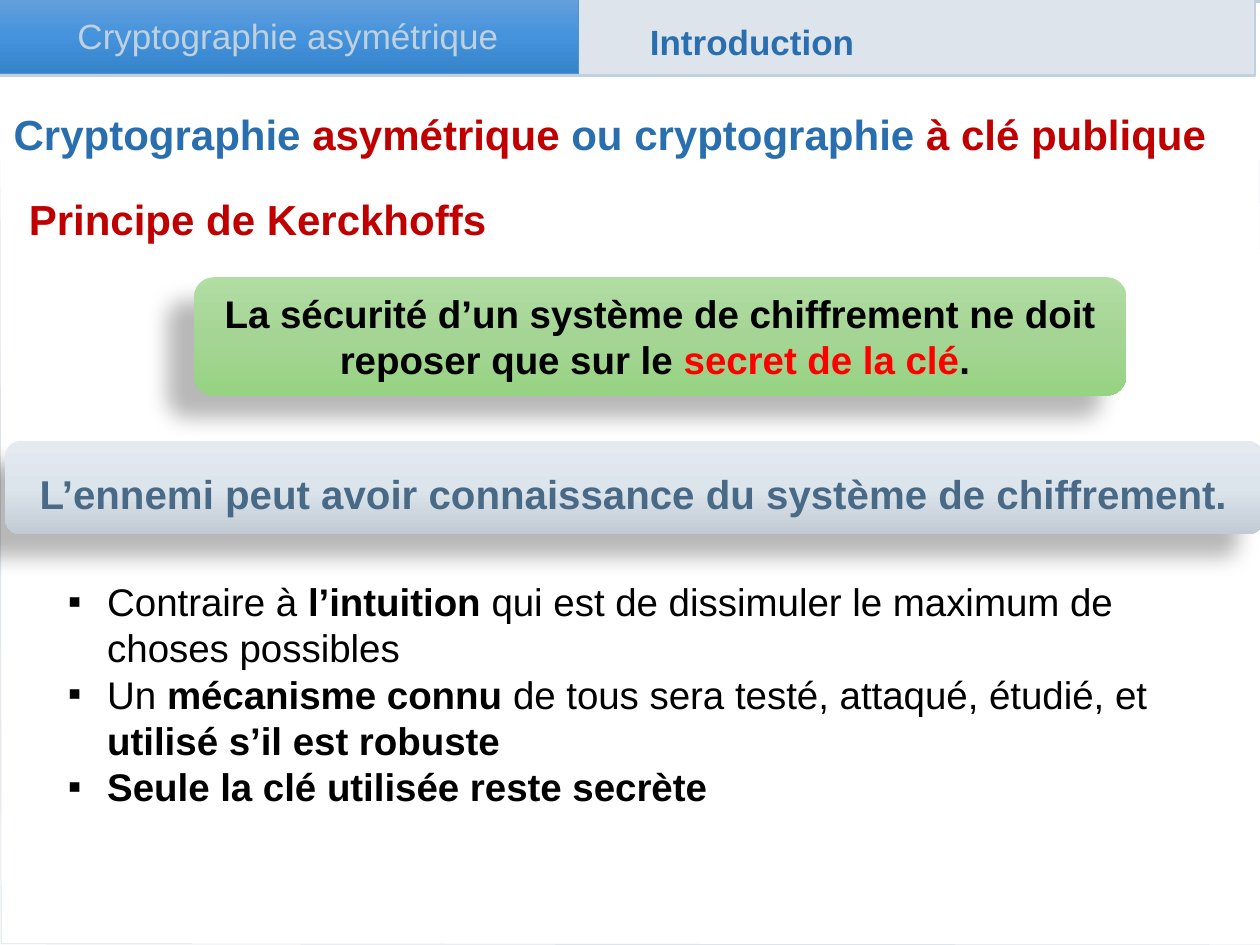
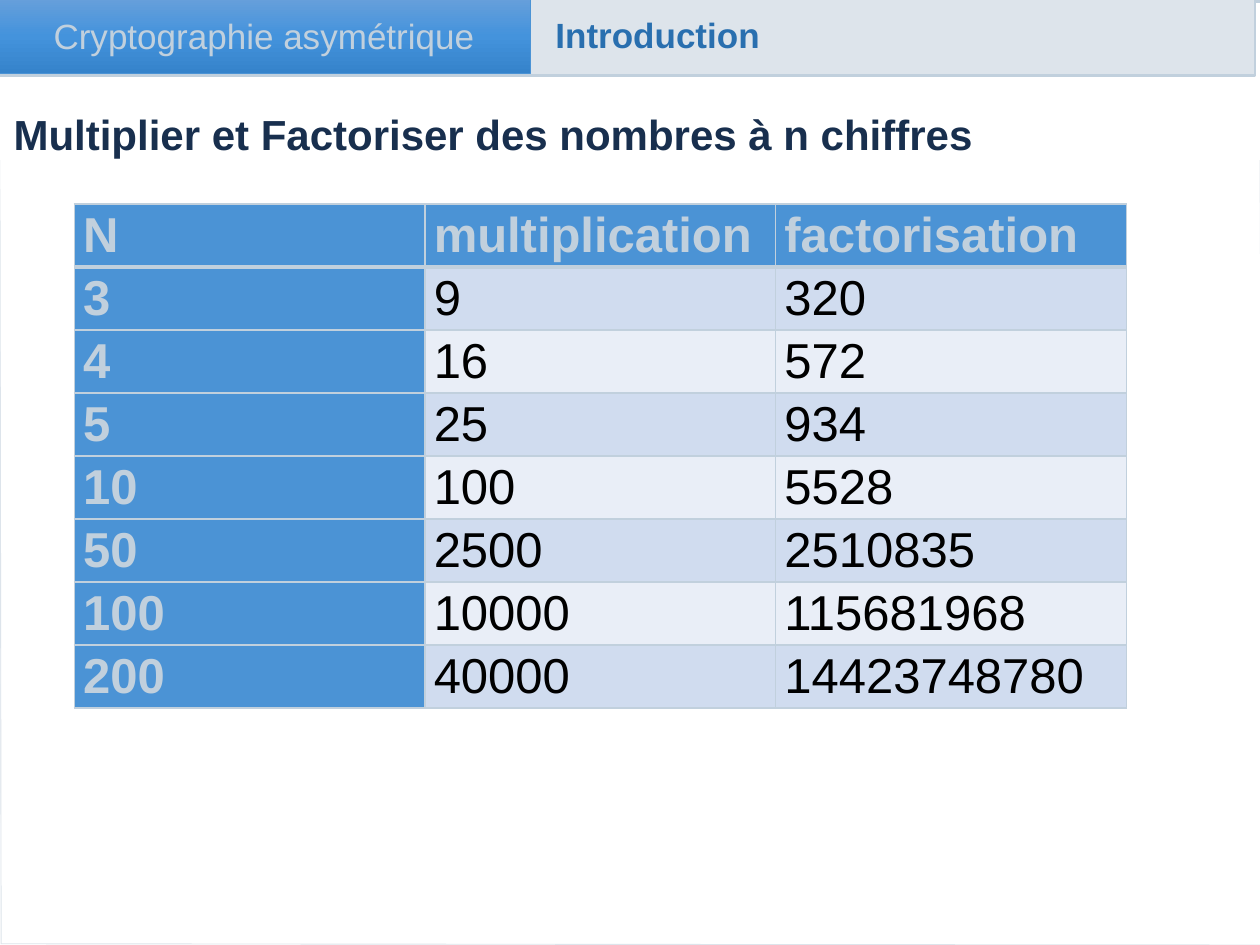
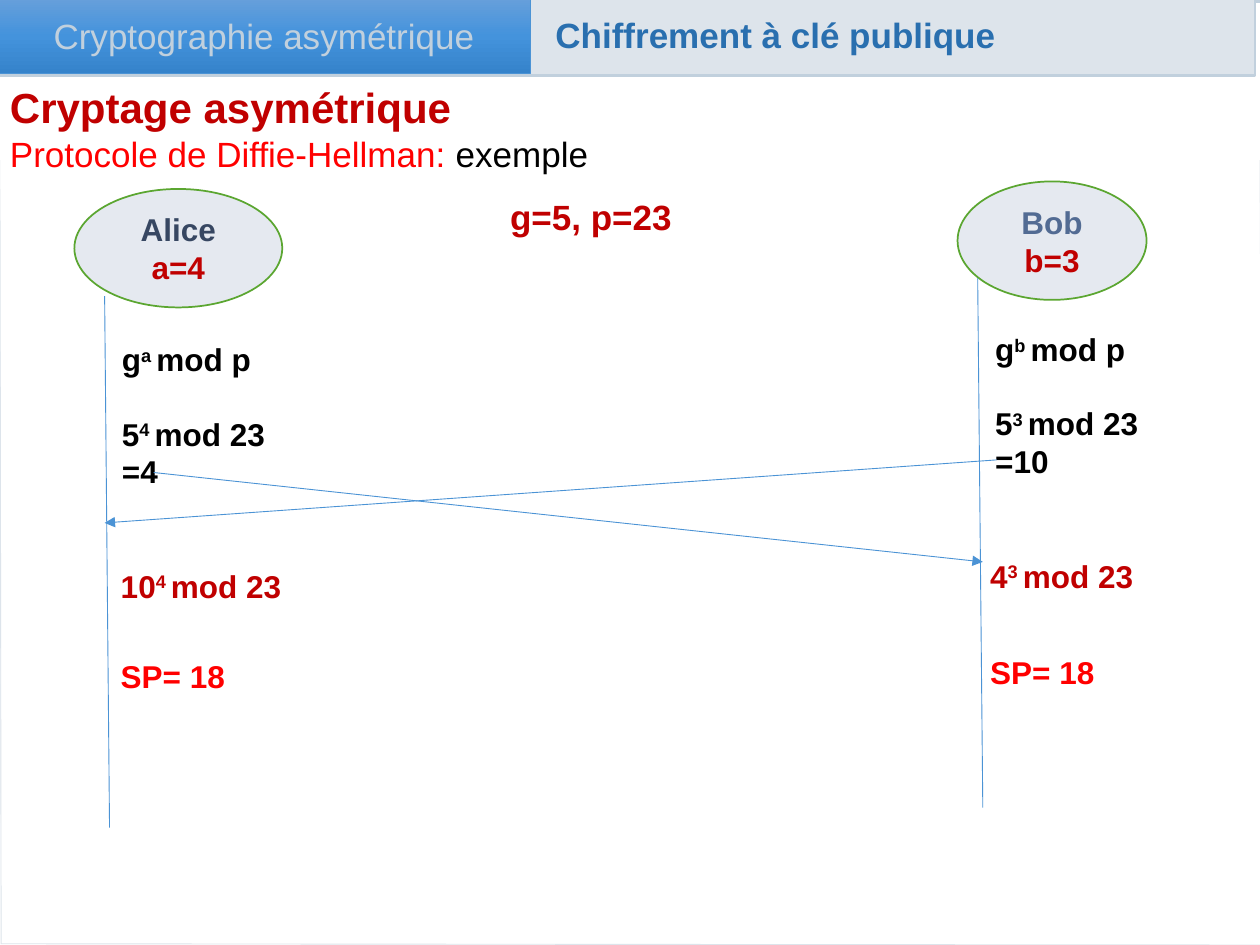
"""Build three slides on asymmetric cryptography."""
from copy import deepcopy

from pptx import Presentation
from pptx.dml.color import RGBColor
from pptx.enum import shapes, text
from pptx.oxml import ns, parse_xml
from pptx.util import Pt

FONT = "Arial"
WHITE = RGBColor(0xFF, 0xFF, 0xFF)
BLACK = RGBColor(0x00, 0x00, 0x00)
RED = RGBColor(0xFF, 0x00, 0x00)
DARK_RED = RGBColor(0xC0, 0x00, 0x00)
TITLE_BLUE = RGBColor(0x29, 0x6F, 0xAF)
NAVY = RGBColor(0x18, 0x2F, 0x4E)
ACCENT_BLUE = RGBColor(0x4B, 0x93, 0xD5)
PALE_BLUE = RGBColor(0xC1, 0xD0, 0xDD)
BAND_GREY = RGBColor(0xDD, 0xE4, 0xEB)
SLATE = RGBColor(0x49, 0x6A, 0x86)
ALICE_BLUE = RGBColor(0x37, 0x47, 0x62)
BOB_BLUE = RGBColor(0x52, 0x6B, 0x93)
ELLIPSE_FILL = RGBColor(0xE5, 0xE9, 0xF0)
ELLIPSE_LINE = RGBColor(0x5B, 0xA6, 0x31)
ROW_DARK = RGBColor(0xD0, 0xDC, 0xEF)
ROW_LIGHT = RGBColor(0xE9, 0xEE, 0xF7)
TAB_GRADIENT = [RGBColor(0x66, 0x9F, 0xDB), RGBColor(0x44, 0x93, 0xDC), RGBColor(0x35, 0x83, 0xCB)]
GREEN_GRADIENT = [RGBColor(0xB1, 0xDD, 0xA3), RGBColor(0xA5, 0xD5, 0x95), RGBColor(0x96, 0xD3, 0x82)]
GREY_GRADIENT = [RGBColor(0xE4, 0xEA, 0xF0), RGBColor(0xDC, 0xE4, 0xEC), RGBColor(0xC2, 0xCB, 0xD3)]
LEFT, CENTER = text.PP_ALIGN.LEFT, text.PP_ALIGN.CENTER
RECTANGLE = shapes.MSO_SHAPE.RECTANGLE


def write(shape, lines, size, alignment=LEFT, bold=True):
    """Fill a shape with lines of (text, colour, optional style) runs."""
    frame = shape.text_frame
    frame.word_wrap = True
    for index, line in enumerate(lines):
        paragraph = frame.add_paragraph() if index else frame.paragraphs[0]
        paragraph.alignment = alignment
        for words, color, *style in line:
            run = paragraph.add_run()
            run.text = words
            run.font.name = FONT
            run.font.size = Pt(size)
            run.font.color.rgb = color
            run.font.bold = "bold" in style or (bold and "plain" not in style)
            if "super" in style:
                run.font._element.set("baseline", "30000")


def paint_gradient(fill, colors):
    """Paint evenly spaced colours from top to bottom."""
    fill.gradient()
    fill.gradient_angle = 270
    first = fill.gradient_stops[0]._gs
    for _ in colors[2:]:
        first.addnext(deepcopy(first))
    for index, (stop, color) in enumerate(zip(fill.gradient_stops, colors)):
        stop.position = index / (len(colors) - 1)
        stop.color.rgb = color


presentation = Presentation()
presentation.slide_width = Pt(720)
presentation.slide_height = Pt(540)

BODY_OUTLINE = [(0.7, 539.3), (722.2, 540), (720, 87.1), (0, 87.1)]
WAVE_OUTLINE = [(718.6, 55.4), (306.7, 54.7), (293.8, 55.4), (272.2, 65.5), (256.3, 69.1),
                (0, 68.4), (0, 108), (450.7, 108), (459.4, 105.8), (485.3, 94.3),
                (498.2, 93.6), (719.3, 93.6)]
HEADERS = [
    ("Introduction", (364.3, 7.9, 254.9, 31.5), 331.9),
    ("Introduction", (310.3, 4.3, 306, 31.5), 304.6),
    ("Chiffrement à clé publique", (310.3, 4.3, 306, 31.5), 304.6),
]
for section, section_box, tab_width in HEADERS:
    slide = presentation.slides.add_slide(presentation.slide_layouts[6])
    paint_gradient(slide.background.fill, [PALE_BLUE, WHITE])
    for outline in (BODY_OUTLINE, WAVE_OUTLINE):
        points = [(Pt(x), Pt(y)) for x, y in outline]
        builder = slide.shapes.build_freeform(*points[0])
        builder.add_line_segments(points[1:], close=True)
        shape = builder.convert_to_shape()
        shape.shadow.inherit = False
        shape.fill.solid()
        shape.fill.fore_color.rgb = WHITE
        if outline is BODY_OUTLINE:
            shape.line.color.rgb = BAND_GREY
            shape.line.width = Pt(0.5)
        else:
            shape.line.fill.background()
            color = shape._element.spPr.find(ns.qn("a:solidFill"))[0]
            color.append(parse_xml(f'<a:alpha {ns.nsdecls("a")} val="50000"/>'))
    for box, fill, line, width in [
        ((0, 2.2, 720, 88.6), WHITE, WHITE, 1),
        ((-1.4, -2.2, 718.6, 45.4), BAND_GREY, PALE_BLUE, 1.5),
    ]:
        band = slide.shapes.add_shape(RECTANGLE, *map(Pt, box))
        band.shadow.inherit = False
        band.fill.solid()
        band.fill.fore_color.rgb = fill
        band.line.color.rgb = line
        band.line.width = Pt(width)
    write(slide.shapes.add_textbox(*map(Pt, section_box)), [[(section, TITLE_BLUE)]], 20)
    tab = slide.shapes.add_shape(RECTANGLE, Pt(-1.4), Pt(-0.7), Pt(tab_width), Pt(42.5))
    tab.shadow.inherit = False
    paint_gradient(tab.fill, TAB_GRADIENT)
    tab.line.color.rgb = ACCENT_BLUE
    tab.line.width = Pt(0.5)
    write(tab, [[("Cryptographie asymétrique", PALE_BLUE)]], 20, CENTER, bold=False)

principle, comparison, exchange = presentation.slides
HEADING_BOX = [Pt(0.7), Pt(58.3), Pt(720), Pt(36)]

write(principle.shapes.add_textbox(Pt(9.4), Pt(107.3), Pt(711.4), Pt(36)),
      [[("Principe de Kerckhoffs", DARK_RED)]], 24)
write(principle.shapes.add_textbox(*HEADING_BOX),
      [[("Cryptographie ", TITLE_BLUE), ("asymétrique ", DARK_RED),
        ("ou cryptographie ", TITLE_BLUE), ("à clé publique", DARK_RED)]], 24)
arguments = principle.shapes.add_textbox(Pt(31.7), Pt(326.9), Pt(667.4), Pt(162.7))
write(arguments, [
    [("Contraire à ", BLACK), ("l’intuition", BLACK, "bold"),
     (" qui est de dissimuler le maximum de choses possibles", BLACK)],
    [("Un ", BLACK), ("mécanisme connu ", BLACK, "bold"),
     ("de tous sera testé, attaqué, étudié, et ", BLACK),
     ("utilisé s’il est robuste", BLACK, "bold")],
    [("Seule la clé utilisée reste secrète", BLACK, "bold")],
], 22, bold=False)
for paragraph in arguments.text_frame.paragraphs:
    properties = paragraph._p.get_or_add_pPr()
    properties.set("marL", str(Pt(22.5)))
    properties.set("indent", str(-Pt(22.5)))
    properties.append(parse_xml(f'<a:buFont {ns.nsdecls("a")} typeface="{FONT}"/>'))
    properties.append(parse_xml(f'<a:buChar {ns.nsdecls("a")} char="▪"/>'))

for box, gradient, line, size, top_margin in [
    ((110.9, 158.4, 532.8, 67.7), GREEN_GRADIENT,
     [("La sécurité d’un système de chiffrement ne doit reposer que sur le ", BLACK),
      ("secret de la clé", RED), (". ", BLACK)], 22, 3.6),
    ((2.9, 252, 719.3, 53.3), GREY_GRADIENT,
     [("L’ennemi peut avoir connaissance du système de chiffrement.", SLATE)], 23, 10),
]:
    callout = principle.shapes.add_shape(shapes.MSO_SHAPE.ROUNDED_RECTANGLE, *map(Pt, box))
    paint_gradient(callout.fill, gradient)
    callout.line.fill.background()
    callout.shadow.inherit = False
    callout._element.spPr.find(ns.qn("a:effectLst")).append(parse_xml(
        f'<a:outerShdw {ns.nsdecls("a")} blurRad="{Pt(11.8)}" dist="{Pt(19.7)}" dir="{141 * 60000}" '
        'algn="ctr" rotWithShape="0"><a:srgbClr val="000000"><a:alpha val="28000"/></a:srgbClr></a:outerShdw>'))
    write(callout, [line], size, CENTER)
    callout.text_frame.margin_top = Pt(top_margin)

write(comparison.shapes.add_textbox(*HEADING_BOX),
      [[("Multiplier et Factoriser des nombres à n chiffres", NAVY)]], 24)
COSTS = [
    ("N", "multiplication", "factorisation"),
    ("3", "9", "320"),
    ("4", "16", "572"),
    ("5", "25", "934"),
    ("10", "100", "5528"),
    ("50", "2500", "2510835"),
    ("100", "10000", "115681968"),
    ("200", "40000", "14423748780"),
]
table = comparison.shapes.add_table(len(COSTS), 3, Pt(42.5), Pt(116.6), Pt(601.2), Pt(287.2)).table
for column in table.columns:
    column.width = Pt(200.4)
for row_index, values in enumerate(COSTS):
    table.rows[row_index].height = Pt(35.9)
    for column_index, value in enumerate(values):
        cell = table.cell(row_index, column_index)
        is_header = row_index == 0 or column_index == 0
        cell.margin_left = cell.margin_right = Pt(5)
        cell.margin_top = cell.margin_bottom = 0
        write(cell, [[(value, PALE_BLUE if is_header else BLACK)]], 28, bold=is_header)
        cell.text_frame.paragraphs[0].line_spacing = 1.07
        top = 3 if row_index == 1 else 1
        bottom = 3 if row_index == 0 else 1
        for side, width in (("L", 1), ("R", 1), ("T", top), ("B", bottom)):
            cell._tc.get_or_add_tcPr().append(parse_xml(
                f'<a:ln{side} {ns.nsdecls("a")} w="{Pt(width)}"><a:solidFill>'
                f'<a:srgbClr val="{PALE_BLUE}"/></a:solidFill></a:ln{side}>'))
        cell.fill.solid()
        cell.fill.fore_color.rgb = ACCENT_BLUE if is_header else (ROW_LIGHT, ROW_DARK)[row_index % 2]

heading = exchange.shapes.add_textbox(Pt(-1.4), Pt(43.2), Pt(720), Pt(60.5))
write(heading, [
    [("Cryptage asymétrique", DARK_RED)],
    [("Protocole de Diffie-Hellman: ", RED, "plain"), ("exemple", BLACK, "plain")],
], 24)
for run in heading.text_frame.paragraphs[1].runs:
    run.font.size = Pt(20)
write(exchange.shapes.add_textbox(Pt(241.2), Pt(108), Pt(193), Pt(31.5)),
      [[("g=5, p=23", DARK_RED)]], 20, CENTER)

PARTIES = [
    ("Alice", ALICE_BLUE, "a", "4", "=4", "10",
     (42.5, 108, 118.8, 67.7), (62.6, 190.8, 115.9, 116.6), (61.9, 320.4), (61.9, 372.2)),
    ("Bob", BOB_BLUE, "b", "3", "=10", "4",
     (547.2, 103.7, 108, 67.7), (561.6, 185, 115.9, 94.3), (558.7, 314.6), (558.7, 369.4)),
]
for name, color, letter, secret, sent, received, ellipse_box, formula_box, key_place, shared_place in PARTIES:
    ellipse = exchange.shapes.add_shape(shapes.MSO_SHAPE.OVAL, *map(Pt, ellipse_box))
    ellipse.shadow.inherit = False
    ellipse.fill.solid()
    ellipse.fill.fore_color.rgb = ELLIPSE_FILL
    ellipse.line.color.rgb = ELLIPSE_LINE
    ellipse.line.width = Pt(1)
    write(ellipse, [[(name, color)], [(f"{letter}={secret}", DARK_RED)]], 18, CENTER)
    formula = exchange.shapes.add_textbox(*map(Pt, formula_box))
    write(formula, [
        [("g", BLACK), (f"{letter} ", BLACK, "super"), ("mod p", BLACK)],
        [("5", BLACK), (f"{secret} ", BLACK, "super"), ("mod 23", BLACK)],
        [(sent, BLACK)],
    ], 18)
    formula.text_frame.paragraphs[1].space_before = Pt(21)
    write(exchange.shapes.add_textbox(*map(Pt, key_place), Pt(118.8), Pt(28.8)),
          [[(received, DARK_RED), (f"{secret} ", DARK_RED, "super"), ("mod 23", DARK_RED)]], 18)
    write(exchange.shapes.add_textbox(*map(Pt, shared_place), Pt(82.8), Pt(28.8)),
          [[("SP= 18", RED)]], 18)

for ends, has_arrow in [
    ((59.8, 169.2, 62.6, 473), False),
    ((558.7, 159.1, 561.6, 461.5), False),
    ((87.8, 270, 561.6, 321.1), True),
    ((569.5, 262.8, 59.8, 298.8), True),
]:
    connector = exchange.shapes.add_connector(shapes.MSO_CONNECTOR.STRAIGHT, *map(Pt, ends))
    connector.line.color.rgb = ACCENT_BLUE
    connector.line.width = Pt(0.5)
    if has_arrow:
        connector.line._get_or_add_ln().append(parse_xml(f'<a:tailEnd {ns.nsdecls("a")} type="triangle"/>'))
    connector._element.spPr.append(parse_xml(f'<a:effectLst {ns.nsdecls("a")}/>'))

presentation.save("out.pptx")
